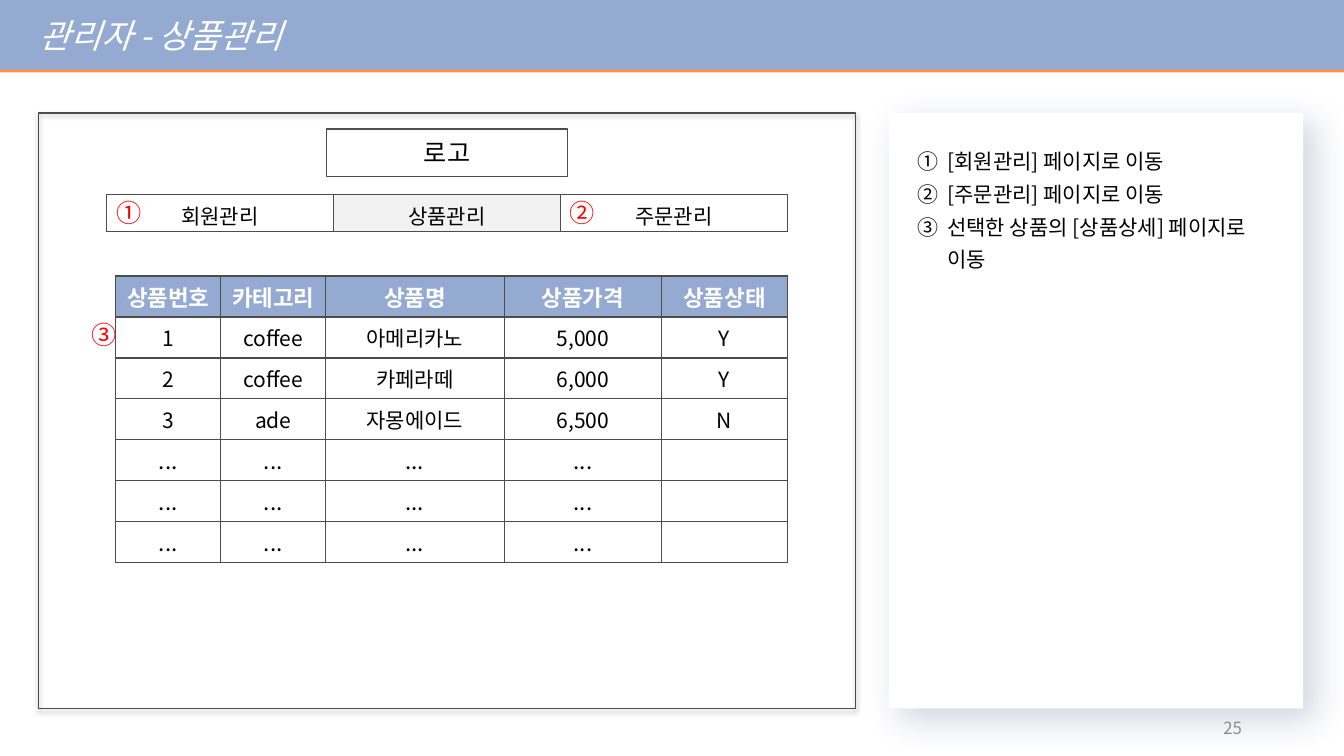
"""Build the admin product management wireframe slide."""
from lxml.etree import SubElement
from pptx import Presentation
from pptx.dml.color import RGBColor
from pptx.enum.shapes import MSO_SHAPE as Shape
from pptx.enum.text import MSO_ANCHOR as Anchor, MSO_AUTO_SIZE as AutoSize, PP_ALIGN as Align
from pptx.oxml.ns import qn
from pptx.util import Pt

TITLE = "관리자 - 상품관리"
LOGO_LABEL = "로고"
PAGE_NUMBER = "25"
MENU = ["회원관리", "상품관리", "주문관리"]
ACTIVE_MENU = "상품관리"
NOTES = [
    ("[회원관리] 페이지로 이동", Align.JUSTIFY),
    ("[주문관리] 페이지로 이동", Align.JUSTIFY),
    ("선택한 상품의 [상품상세] 페이지로\n이동", Align.LEFT),
]
HEADER = ["상품번호", "카테고리", "상품명", "상품가격", "상품상태"]
PRODUCTS = [
    ["1", "coffee", "아메리카노", "5,000", "Y"],
    ["2", "coffee", "카페라떼", "6,000", "Y"],
    ["3", "ade", "자몽에이드", "6,500", "N"],
] + [["..."] * 4 + [""]] * 3
MARKERS = [("①", 76.3, 137.5), ("②", 399.6, 137.5), ("③", 58.3, 224.6)]

FONT = "Noto Sans CJK KR"
COLORS = {
    "white": "FFFFFF", "black": "000000", "blue": "94AAD1", "orange": "FE913E",
    "navy": "1E2E6C", "outline": "4C4C4C", "active": "F2F2F2", "red": "FF0000",
    "gray": "8C8C8C",
}
PANEL_TOP, PANEL_HEIGHT = 80.6, 425.5
MENU_BOX = (75.9, 139, 486.6, 26.6)
PRODUCT_LEFT, PRODUCT_TOP, ROW_HEIGHT = 82.6, 197.2, 29.25
PRODUCT_WIDTHS = [75.2, 74.8, 127.6, 112.6, 89.6]


def color(name):
    return RGBColor.from_string(COLORS[name])


def style(para, size, ink, align=Align.LEFT, bold=False, italic=False):
    para.alignment = align
    font = para.font
    font.size, font.bold, font.italic, font.name = Pt(size), bold, italic, FONT
    font.color.rgb = color(ink)
    defaults = para._p.pPr.find(qn("a:defRPr"))
    SubElement(defaults, qn("a:ea"), typeface=FONT)


def add_shadow(shape, ink, opacity, blur, distance, angle):
    effects = SubElement(shape._element.spPr, qn("a:effectLst"))
    shadow = SubElement(effects, qn("a:outerShdw"), blurRad=str(Pt(blur)), dist=str(Pt(distance)),
                        dir=str(angle * 60000), algn="tl", rotWithShape="0")
    tint = SubElement(shadow, qn("a:srgbClr"), val=COLORS[ink])
    SubElement(tint, qn("a:alpha"), val=str(opacity * 1000))


def add_box(page, left, top, width, height, fill=None, line=None):
    box = page.shapes.add_shape(Shape.RECTANGLE, Pt(left), Pt(top), Pt(width), Pt(height))
    if fill:
        box.fill.solid()
        box.fill.fore_color.rgb = color(fill)
    else:
        box.fill.background()
    if line:
        box.line.color.rgb = color(line)
        box.line.width = Pt(1)
    else:
        box.line.fill.background()
    return box


def add_text(page, left, top, width, height, wrap=True):
    box = page.shapes.add_textbox(Pt(left), Pt(top), Pt(width), Pt(height))
    box.text_frame.word_wrap = wrap
    return box.text_frame


def add_grid(page, left, top, widths, row_height, rows):
    frame = page.shapes.add_table(len(rows), len(widths), Pt(left), Pt(top),
                                  Pt(sum(widths)), Pt(row_height * len(rows)))
    table = frame.table
    table.first_row = table.horz_banding = False
    for column, width in zip(table.columns, widths):
        column.width = Pt(width)
    for row in table.rows:
        row.height = Pt(row_height)
    return table


def fill_cell(cell, text, fill, size, ink="black", bold=False):
    cell.text = text
    cell.fill.solid()
    cell.fill.fore_color.rgb = color(fill)
    cell.margin_left = cell.margin_right = Pt(3)
    cell.margin_top = cell.margin_bottom = Pt(2)
    style(cell.text_frame.paragraphs[0], size, ink, Align.CENTER, bold)
    props = cell._tc.get_or_add_tcPr()
    for index, side in enumerate(("lnL", "lnR", "lnT", "lnB")):
        border = SubElement(props, qn(f"a:{side}"), w=str(Pt(1)))
        solid = SubElement(border, qn("a:solidFill"))
        SubElement(solid, qn("a:srgbClr"), val=COLORS["outline"])
        props.insert(index, border)


def add_title(page):
    title = page.shapes.title
    title.left, title.top, title.width, title.height = Pt(0), Pt(0), Pt(960), Pt(49.7)
    title.fill.solid()
    title.fill.fore_color.rgb = color("blue")
    add_shadow(title, "orange", 100, 0, 2, 90)
    frame = title.text_frame
    frame.text = TITLE
    frame.auto_size = AutoSize.NONE
    frame.vertical_anchor = Anchor.MIDDLE
    frame.margin_left = Pt(28)
    style(frame.paragraphs[0], 24, "white", italic=True)


def add_notes(page):
    panel = add_box(page, 635, PANEL_TOP, 295.9, PANEL_HEIGHT, fill="white")
    add_shadow(panel, "navy", 20, 25, 11, 45)
    frame = add_text(page, 648, 97.2, 272.2, 123.8)
    for index, (text, align) in enumerate(NOTES):
        para = frame.add_paragraph() if index else frame.paragraphs[0]
        para.text = text
        props = para._p.get_or_add_pPr()
        props.set("marL", str(Pt(21.6)))
        props.set("indent", str(-Pt(21.6)))
        bullet_color = SubElement(props, qn("a:buClr"))
        SubElement(bullet_color, qn("a:srgbClr"), val=COLORS["black"])
        SubElement(props, qn("a:buFont"), typeface=FONT)
        SubElement(props, qn("a:buAutoNum"), type="circleNumDbPlain")
        para.line_spacing = 1.3
        style(para, 15, "black", align)


def add_wireframe(page):
    add_box(page, 27.4, PANEL_TOP, 583.9, PANEL_HEIGHT, line="outline")
    logo = add_box(page, 233.3, 92.2, 172.1, 33.8, line="outline")
    logo.shadow.inherit = False
    logo.text_frame.text = LOGO_LABEL
    logo.text_frame.vertical_anchor = Anchor.MIDDLE
    style(logo.text_frame.paragraphs[0], 18, "black", Align.CENTER)

    left, top, width, height = MENU_BOX
    menu = add_grid(page, left, top, [width / len(MENU)] * len(MENU), height, [MENU])
    for cell, label in zip(menu.iter_cells(), MENU):
        fill_cell(cell, label, "active" if label == ACTIVE_MENU else "white", 15)
        cell.margin_top, cell.margin_bottom = Pt(3.6), Pt(1)

    rows = [HEADER] + PRODUCTS
    products = add_grid(page, PRODUCT_LEFT, PRODUCT_TOP, PRODUCT_WIDTHS, ROW_HEIGHT, rows)
    for row, values in zip(products.rows, rows):
        for cell, value in zip(row.cells, values):
            if values is HEADER:
                fill_cell(cell, value, "blue", 16, "white", bold=True)
            else:
                fill_cell(cell, value, "white", 16 if value == "..." else 15)
            cell.vertical_anchor = Anchor.MIDDLE

    for mark, left, top in MARKERS:
        frame = add_text(page, left, top, 31.5, 29, wrap=False)
        frame.text = mark
        style(frame.paragraphs[0], 18, "red")


def main():
    deck = Presentation()
    deck.slide_width, deck.slide_height = Pt(960), Pt(540)
    page = deck.slides.add_slide(deck.slide_layouts[5])
    add_title(page)
    add_notes(page)
    add_wireframe(page)
    number = add_text(page, 678.2, 505.4, 216, 28.8)
    number.text = PAGE_NUMBER
    number.vertical_anchor = Anchor.MIDDLE
    style(number.paragraphs[0], 12, "gray", Align.RIGHT)
    deck.save("out.pptx")


if __name__ == "__main__":
    main()
